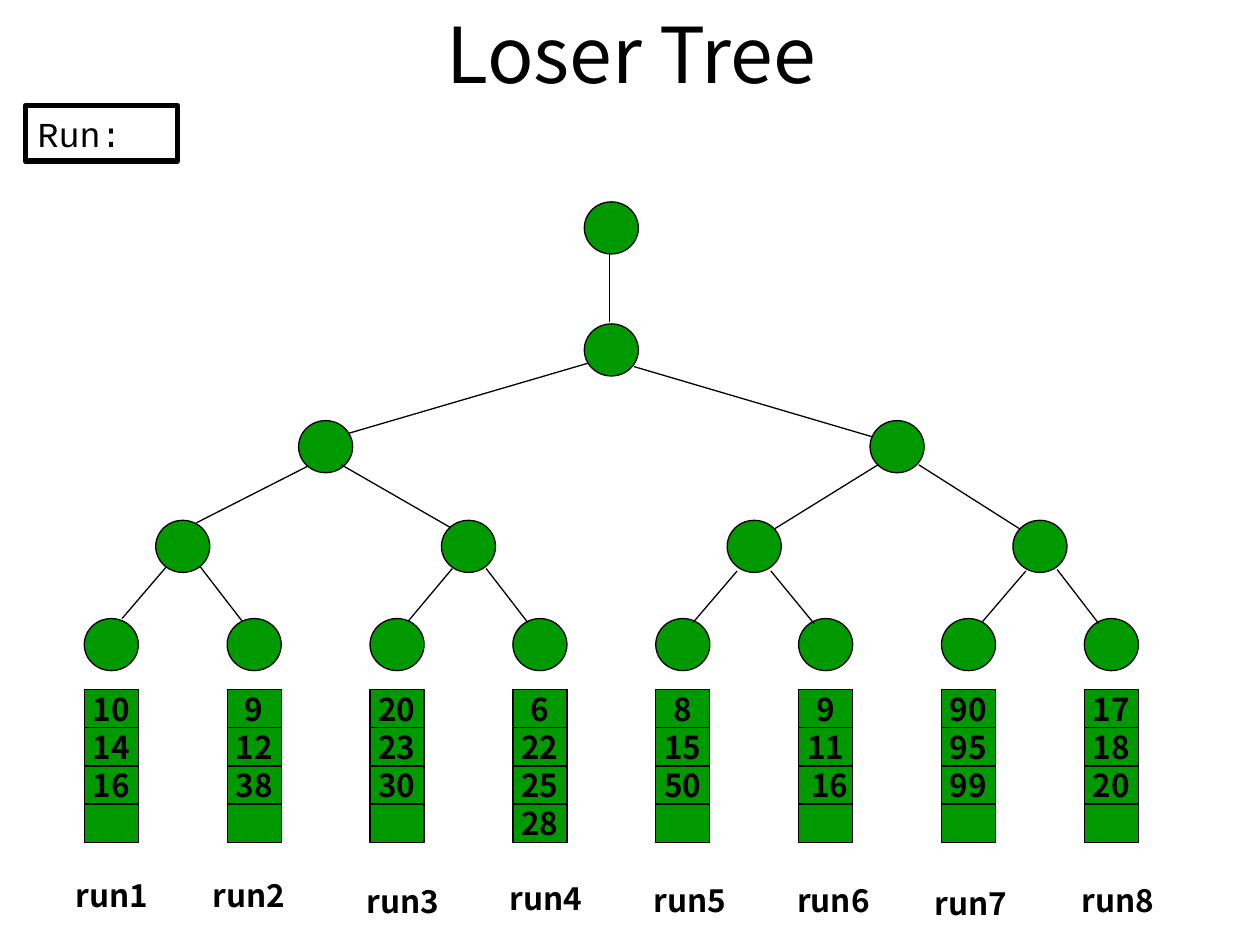
from dataclasses import dataclass
from typing import NamedTuple

from lxml.etree import SubElement
from pptx import Presentation
from pptx.dml.color import RGBColor as Rgb
from pptx.enum.shapes import MSO_CONNECTOR as Conn, MSO_SHAPE as Geo
from pptx.enum.text import MSO_ANCHOR as Anchor, PP_ALIGN as Align
from pptx.oxml.ns import qn
from pptx.util import Cm, Pt


@dataclass(frozen=True)
class Theme:
    ink: Rgb = Rgb(0, 0, 0)
    green: Rgb = Rgb(0x00, 0x99, 0x00)
    sans: str = "Noto Sans CJK KR"
    mono: str = "Courier New"
    head: float = 44
    body: float = 18
    note: float = 20
    thin: float = 0.75
    thick: float = 3


class Box(NamedTuple):
    x: float
    y: float
    w: float
    h: float


class Edge(NamedTuple):
    x1: float
    y1: float
    x2: float
    y2: float


class Run(NamedTuple):
    name: str
    keys: tuple[int, ...]
    x: float  # label position
    y: float


LOOK = Theme()

# Grid of columns and cells, in centimetres
LEFT, STEP, WIDE = 1.7, 2.88, 1.09
TOP, TALL, ROWS = 13.9, 0.77, 4
ROUND = 1.05
LEVELS = (12.47, 10.49, 8.48, 6.53)  # node tops, leaves to root
CROWN = 4.07

RUNS = (
    Run("run1", (10, 14, 16), 1.27, 17.53),
    Run("run2", (9, 12, 38), 4.04, 17.53),
    Run("run3", (20, 23, 30), 7.14, 17.65),
    Run("run4", (6, 22, 25, 28), 10.03, 17.6),
    Run("run5", (8, 15, 50), 12.93, 17.63),
    Run("run6", (9, 11, 16), 15.82, 17.63),
    Run("run7", (90, 95, 99), 18.59, 17.7),
    Run("run8", (17, 18, 20), 21.56, 17.63),
)
SHIFTED = (5, 2)  # column and row of the one left-aligned key

EDGES = (
    Edge(12.29, 5.05, 12.29, 6.5),
    Edge(11.86, 7.32, 7.01, 8.74),
    Edge(12.78, 7.39, 17.6, 8.81),
    Edge(6.2, 9.4, 3.96, 10.54),
    Edge(6.88, 9.37, 9.09, 10.64),
    Edge(17.7, 9.37, 15.6, 10.67),
    Edge(18.52, 9.37, 20.57, 10.67),
    Edge(3.35, 11.43, 2.46, 12.47),
    Edge(4.04, 11.43, 4.88, 12.52),
    Edge(9.12, 11.46, 8.23, 12.52),
    Edge(9.8, 11.46, 10.64, 12.55),
    Edge(14.86, 11.51, 13.97, 12.55),
    Edge(15.54, 11.51, 16.41, 12.57),
    Edge(20.68, 11.51, 19.79, 12.55),
    Edge(21.31, 11.48, 22.15, 12.57),
)


def put_text(shape, text: str, size: float, face: str = LOOK.sans,
             bold: bool = False, align: Align = Align.CENTER,
             anchor: Anchor = Anchor.MIDDLE, wrap: bool = True) -> None:
    frame = shape.text_frame
    frame.word_wrap = wrap
    frame.vertical_anchor = anchor
    par = frame.paragraphs[0]
    par.alignment = align
    run = par.add_run()
    run.text = text
    form = {"size": Pt(size), "name": face, "bold": bold}
    for key, val in form.items():
        setattr(run.font, key, val)
    run.font.color.rgb = LOOK.ink


def add_text(slide, box: Box, text: str, size: float, **form) -> None:
    shape = slide.shapes.add_textbox(*map(Cm, box))
    put_text(shape, text, size, **form)


def add_form(slide, geo: Geo, box: Box, fill: Rgb | None = LOOK.green,
             width: float = LOOK.thin):
    shape = slide.shapes.add_shape(geo, *map(Cm, box))
    shape.shadow.inherit = False
    if fill is None:
        shape.fill.background()
    else:
        shape.fill.solid()
        shape.fill.fore_color.rgb = fill
    shape.line.color.rgb = LOOK.ink
    shape.line.width = Pt(width)
    return shape


def add_edge(slide, edge: Edge) -> None:
    line = slide.shapes.add_connector(Conn.STRAIGHT, *map(Cm, edge))
    line.line.color.rgb = LOOK.ink
    line.line.width = Pt(LOOK.thin)
    SubElement(line._element.spPr, qn("a:effectLst"))


def add_runs(slide) -> None:
    for col, run in enumerate(RUNS):
        for row in range(ROWS):
            box = Box(LEFT + col * STEP, TOP + row * TALL, WIDE, TALL)
            cell = add_form(slide, Geo.RECTANGLE, box)
            if row < len(run.keys):
                align = Align.LEFT if (col, row) == SHIFTED else Align.CENTER
                put_text(cell, str(run.keys[row]), LOOK.body, bold=True,
                         align=align, wrap=False)
        add_text(slide, Box(run.x, run.y, 1.98, 1.02), run.name, LOOK.body,
                 bold=True, align=Align.LEFT, anchor=Anchor.TOP)


def add_tree(slide) -> None:
    # Each parent sits midway between its two children
    spots = [LEFT + col * STEP for col in range(len(RUNS))]
    for top in LEVELS:
        for x in spots:
            add_form(slide, Geo.OVAL, Box(x, top, WIDE, ROUND))
        if len(spots) > 1:
            spots = [(a + b) / 2 for a, b in zip(spots[::2], spots[1::2])]
    add_form(slide, Geo.OVAL, Box(spots[0], CROWN, WIDE, ROUND))
    for edge in EDGES:
        add_edge(slide, edge)


def main() -> None:
    deck = Presentation()
    deck.slide_width, deck.slide_height = Cm(25.4), Cm(19.05)
    slide = deck.slides.add_slide(deck.slide_layouts[6])

    # Title
    add_text(slide, Box(1.3, 0, 22.86, 2.13), "Loser Tree", LOOK.head)

    # Sorted runs and the tree above them
    add_runs(slide)
    add_tree(slide)

    # Output box
    out = add_form(slide, Geo.RECTANGLE, Box(0.51, 2.13, 3.07, 1.12),
                   fill=None, width=LOOK.thick)
    put_text(out, "Run:", LOOK.note, face=LOOK.mono, align=Align.LEFT)

    deck.save("out.pptx")


if __name__ == "__main__":
    main()
